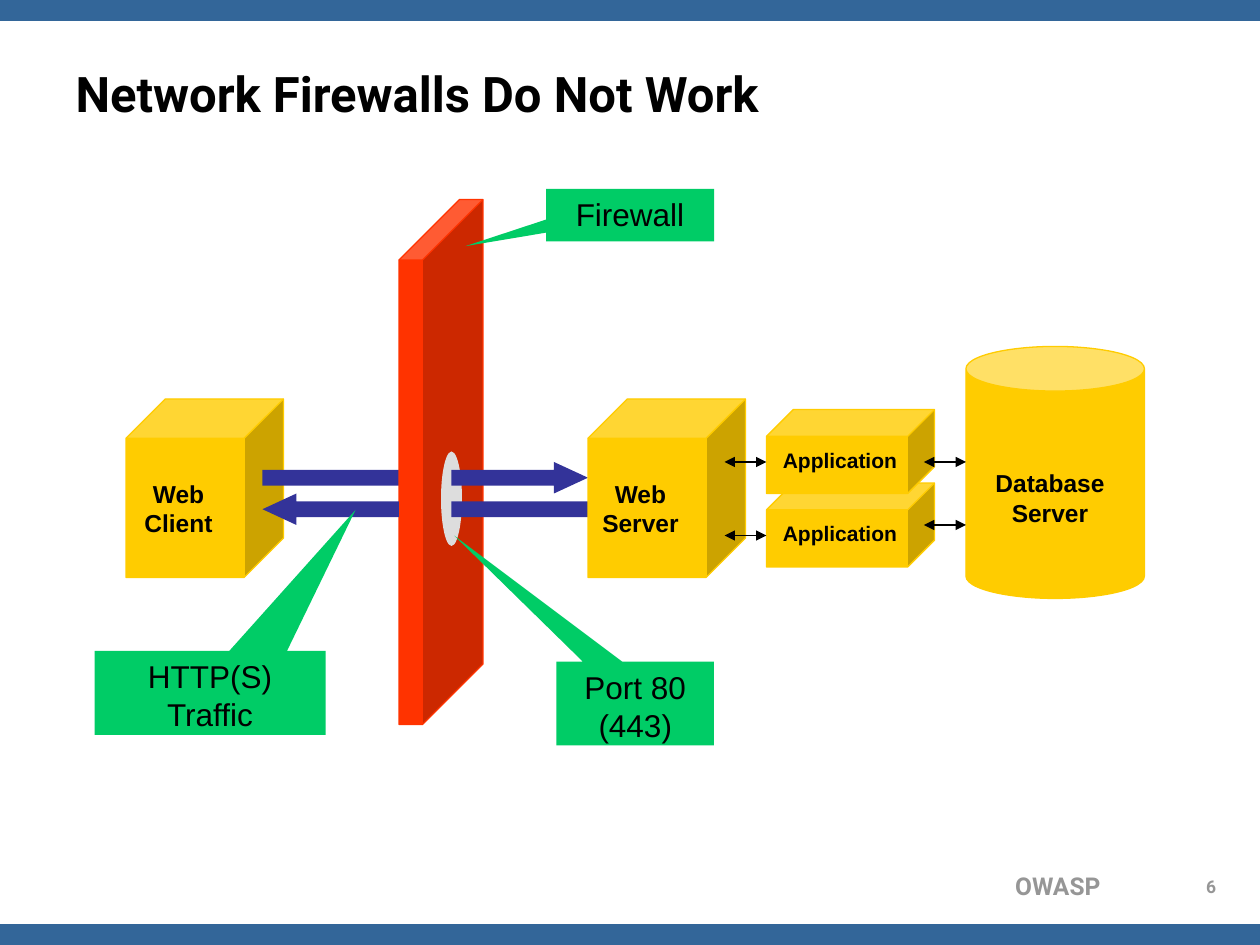
"""Build a slide showing web traffic passing through a network firewall."""
from lxml import etree
from pptx import Presentation
from pptx.dml.color import RGBColor
from pptx.enum.shapes import MSO_CONNECTOR, MSO_SHAPE
from pptx.enum.text import MSO_ANCHOR, PP_ALIGN
from pptx.oxml.ns import qn
from pptx.util import Pt

CUBE, CAN, OVAL, BAR = MSO_SHAPE.CUBE, MSO_SHAPE.CAN, MSO_SHAPE.OVAL, MSO_SHAPE.RECTANGLE
RIGHT, LEFT = MSO_SHAPE.RIGHT_ARROW, MSO_SHAPE.LEFT_ARROW
CALLOUT = MSO_SHAPE.RECTANGULAR_CALLOUT
STRAIGHT = MSO_CONNECTOR.STRAIGHT
TOP, MIDDLE = MSO_ANCHOR.TOP, MSO_ANCHOR.MIDDLE
ALIGN_LEFT, ALIGN_CENTER, ALIGN_RIGHT = PP_ALIGN.LEFT, PP_ALIGN.CENTER, PP_ALIGN.RIGHT

COLORS = {"band": "336699", "node": "FFCC00", "wall": "FF3300", "hole": "DDDDDD",
          "traffic": "333399", "callout": "00CC66", "text": "000000", "footer": "969696"}
PAGE_WIDTH, PAGE_HEIGHT, BAND_HEIGHT = 720, 540, 12
TITLE = "Network Firewalls Do Not Work"

# Each shape: kind, (left, top, width, height), colour, adjustments, outlined, text
SHAPES = [
    (BAR, (0, 0, PAGE_WIDTH, BAND_HEIGHT), "band", (), False, ""),
    (BAR, (0, PAGE_HEIGHT - BAND_HEIGHT, PAGE_WIDTH, BAND_HEIGHT), "band", (), False, ""),
    (CUBE, (72, 228, 90, 102), "node", (0.25,), True, ""),
    (RIGHT, (150, 264, 114, 18), "traffic", (0.5, 1.58), False, ""),
    (CUBE, (228, 114, 48, 300), "wall", (0.72,), True, ""),
    (CAN, (552, 198, 102, 144), "node", (0.25,), True, ""),
    (OVAL, (252, 258, 12, 54), "hole", (), False, ""),
    (CUBE, (438, 276, 96, 48), "node", (0.32,), True, ""),
    (CUBE, (438, 234, 96, 48), "node", (0.32,), True, ""),
    (CALLOUT, (312, 108, 96, 30), "callout", (-0.98, 0.59), False, "Firewall"),
    (CALLOUT, (318, 378, 90, 48), "callout", (-1.15, -2), False, "Port 80 (443)"),
    (RIGHT, (258, 264, 78, 18), "traffic", (0.5, 1.08), False, ""),
    (RIGHT, (258, 282, 114, 18), "traffic", (0.5, 1.58), False, ""),
    (LEFT, (150, 282, 78, 18), "traffic", (0.5, 1.08), False, ""),
    (CUBE, (336, 228, 90, 102), "node", (0.25,), True, ""),
    (CALLOUT, (54, 372, 132, 48), "callout", (0.63, -2.18), False, "HTTP(S) Traffic"),
]
LABELS = [
    ("Web\vClient", (60, 270, 84, 41), 14),
    ("Web\vServer", (324, 270, 84, 41), 14),
    ("Application", (438, 252, 84, 21.6), 12),
    ("Application", (438, 294, 84, 21.6), 12),
    ("Database\vServer", (558, 264, 84, 41), 14),
]
FOOTERS = [
    ("OWASP", (448, 494, 188, 24), 14, ALIGN_RIGHT),
    ("6", (676, 497, 32, 18), 10, ALIGN_CENTER),
]
LINK_LENGTH = 24
LINKS = [(528, 300), (528, 264), (414, 264), (414, 306)]


def color(name):
    return RGBColor.from_string(COLORS[name])


def write(box, text, size=18, font="Arial", bold=False, ink="text",
          align=ALIGN_CENTER, anchor=TOP):
    frame = box.text_frame
    frame.word_wrap = True
    frame.vertical_anchor = anchor
    frame.text = text
    para = frame.paragraphs[0]
    para.alignment = align
    for span in para.runs:
        span.font.name = font
        span.font.size = Pt(size)
        span.font.bold = bold
        span.font.color.rgb = color(ink)


def place(place_in):
    return [Pt(length) for length in place_in]


def add_shape(page, kind, area, fill, adjustments, outlined, text):
    shape = page.shapes.add_shape(kind, *place(area))
    shape.shadow.inherit = False
    shape.fill.solid()
    shape.fill.fore_color.rgb = color(fill)
    if outlined:
        shape.line.color.rgb = color(fill)
        shape.line.width = Pt(0.75)
    else:
        shape.line.fill.background()
    for index, value in enumerate(adjustments):
        shape.adjustments[index] = value
    if text:
        write(shape, text)


def add_link(page, left, y):
    link = page.shapes.add_connector(STRAIGHT, *place((left, y, left + LINK_LENGTH, y)))
    link.line.color.rgb = color("text")
    link.line.width = Pt(0.75)
    outline = link.line._get_or_add_ln()
    for end in ("a:headEnd", "a:tailEnd"):
        etree.SubElement(outline, qn(end), type="triangle")
    etree.SubElement(link._element.spPr, qn("a:effectLst"))


def add_text(page, text, area, **style):
    write(page.shapes.add_textbox(*place(area)), text, bold=True, **style)


def main():
    deck = Presentation()
    deck.slide_width, deck.slide_height = Pt(PAGE_WIDTH), Pt(PAGE_HEIGHT)
    page = deck.slides.add_slide(deck.slide_layouts[5])
    title = page.shapes.title
    title.left, title.top, title.width, title.height = place((36, 21.6, 648, 62.6))
    write(title, TITLE, size=28, font="Roboto", bold=True, align=ALIGN_LEFT, anchor=MIDDLE)
    for shape in SHAPES:
        add_shape(page, *shape)
    for text, area, size in LABELS:
        add_text(page, text, area, size=size)
    for left, y in LINKS:
        add_link(page, left, y)
    for text, area, size, align in FOOTERS:
        add_text(page, text, area, size=size, align=align, font="Roboto", ink="footer")
    deck.save("out.pptx")


if __name__ == "__main__":
    main()
